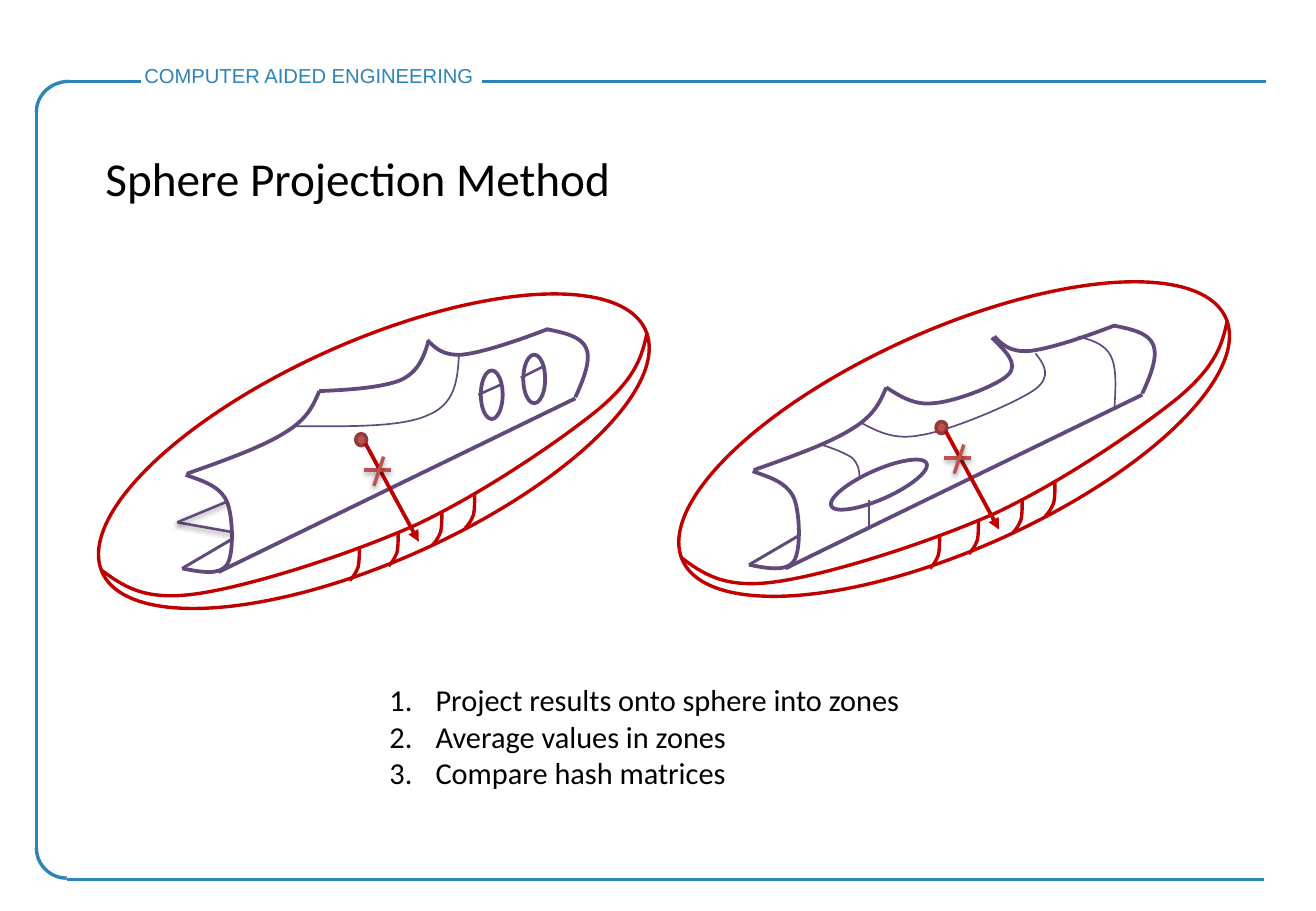
"""Build the sphere projection method slide with its two hull diagrams."""
from dataclasses import dataclass
from typing import Optional

from lxml import etree
from pptx import Presentation
from pptx import util as u
from pptx.dml import color
from pptx.enum import shapes, text
from pptx.oxml import ns

COLORS = {"frame": "2D84B9", "hull": "604A7B", "sphere": "C00000",
          "point": "C0504D", "point_edge": "8E3B39", "text": "000000"}
HULL_SHIFT = (4.67, -0.03)
SPHERE_SHIFT = (4.78, -0.1)
Point = tuple[float, float]


@dataclass(frozen=True)
class Line:
    start: Point
    end: Point
    color: str = "hull"
    width: float = 1.5
    shadow: bool = False
    arrow: bool = False


@dataclass(frozen=True)
class Curve:
    points: tuple[Point, ...]
    color: str = "hull"
    width: float = 2.25
    straight: bool = False


@dataclass(frozen=True)
class Oval:
    left: float
    top: float
    width: float
    height: float
    rotation: float = 0
    color: str = "hull"
    line_width: float = 2.25
    fill: Optional[str] = None
    arc: Optional[tuple[float, float]] = None


FRAME = [
    Line((0.3, 0.91), (0.3, 6.99), "frame", 2),
    Line((0.55, 7.24), (10.41, 7.24), "frame", 2),
    Line((1.16, 0.67), (0.57, 0.67), "frame", 2),
    Oval(0.3, 0.67, 0.54, 0.5, 0, "frame", 2, arc=(180, 270)),
    Oval(0.3, 6.73, 0.5, 0.5, 0, "frame", 2, arc=(90, 180)),
    Line((3.97, 0.67), (10.43, 0.67), "frame", 2),
]
HULL = [
    Curve(((1.53, 3.91), (1.67, 3.96), (1.81, 4), (1.87, 4.13),
           (1.92, 4.25), (1.93, 4.56), (1.87, 4.65),
           (1.81, 4.74), (1.65, 4.71), (1.5, 4.68))),
    Line((1.5, 4.68), (1.91, 4.44), width=1.75),
    Curve(((1.8, 4.71), (2.93, 4.16), (4.74, 3.28)), straight=True),
    Curve(((4.5, 2.71), (4.65, 2.74), (4.79, 2.77), (4.83, 2.87),
           (4.87, 2.96), (4.81, 3.12), (4.74, 3.27))),
    Curve(((1.54, 3.9), (1.85, 3.79), (2.16, 3.68), (2.35, 3.56),
           (2.53, 3.45), (2.58, 3.34), (2.63, 3.22))),
    Curve(((3.52, 2.8), (3.59, 2.87), (3.65, 2.93), (3.81, 2.92),
           (3.98, 2.9), (4.25, 2.81), (4.51, 2.71))),
]
LEFT_DETAILS = [
    Oval(3.85, 3.16, 0.4, 0.18, 90),
    Oval(4.2, 3.03, 0.4, 0.18, 90),
    Curve(((2.63, 3.22), (2.89, 3.21), (3.15, 3.19), (3.3, 3.13),
           (3.45, 3.06), (3.49, 2.94), (3.53, 2.81))),
    Curve(((2.43, 3.51), (2.86, 3.51), (3.3, 3.52), (3.52, 3.42),
           (3.75, 3.33), (3.77, 3.13), (3.78, 2.92)), width=1),
    Line((1.91, 4.38), (1.46, 4.3), shadow=True),
    Line((1.46, 4.3), (1.87, 4.13), shadow=True),
    Line((4.29, 3.11), (4.49, 3.01)),
    Line((3.94, 3.25), (4.14, 3.16)),
]
RIGHT_DETAILS = [
    Oval(6.81, 3.87, 0.86, 0.24, 336),
    Curve(((8.17, 2.78), (8.28, 2.89), (8.39, 2.99), (8.31, 3.08),
           (8.23, 3.17), (7.86, 3.31), (7.69, 3.32),
           (7.53, 3.34), (7.41, 3.26), (7.3, 3.19))),
    Curve(((7.09, 3.48), (7.23, 3.55), (7.36, 3.63), (7.6, 3.58),
           (7.84, 3.54), (8.36, 3.32), (8.52, 3.21),
           (8.67, 3.1), (8.6, 3), (8.53, 2.91)), width=1),
    Curve(((6.76, 3.66), (6.86, 3.69), (6.96, 3.73), (7.02, 3.77),
           (7.07, 3.82), (7.08, 3.87), (7.08, 3.93)), width=1),
    Line((7.16, 4.12), (7.16, 4.33), width=1),
    Curve(((8.88, 2.77), (8.99, 2.8), (9.1, 2.83), (9.15, 2.93),
           (9.2, 3.03), (9.19, 3.19), (9.18, 3.36)), width=1),
]
ZONE_EDGE = ((0, 0.28), (0.03, 0.25), (0.05, 0.22), (0.07, 0.17),
             (0.08, 0.13), (0.08, 0.06), (0.08, 0))
ZONES = [(2.88, 4.5), (3.2, 4.38), (3.56, 4.21), (3.83, 4.07)]
SPHERE = [
    Oval(0.63, 2.81, 4.9, 1.81, 336, "sphere", 2),
    Oval(2.93, 3.57, 0.09, 0.1, 0, "point_edge", 2, "point"),
    Line((3.01, 3.65), (3.45, 4.46), "sphere", 2.25, arrow=True),
    Line((3, 3.87), (3.22, 3.87), "point", 2, shadow=True),
    Line((3.08, 4), (3.16, 3.76), "point", 2, shadow=True),
    Curve(((0.83, 4.69), (1.01, 4.82), (1.18, 4.95), (1.61, 4.89),
           (2.05, 4.83), (2.87, 4.57), (3.43, 4.32),
           (3.98, 4.06), (4.61, 3.63), (4.93, 3.37),
           (5.25, 3.1), (5.29, 2.92), (5.33, 2.74)), "sphere", 2),
    *(Curve(tuple((left + x, top + y) for x, y in ZONE_EDGE), "sphere", 2)
      for left, top in ZONES),
]


def rgb(name: str) -> color.RGBColor:
    return color.RGBColor.from_string(COLORS[name])


def set_line(shape, name: str, width: float) -> None:
    shape.line.color.rgb = rgb(name)
    shape.line.width = u.Pt(width)


def draw_line(slide, line: Line, dx: float, dy: float) -> None:
    (x1, y1), (x2, y2) = line.start, line.end
    connector = slide.shapes.add_connector(
        shapes.MSO_CONNECTOR.STRAIGHT, u.Inches(x1 + dx), u.Inches(y1 + dy),
        u.Inches(x2 + dx), u.Inches(y2 + dy))
    set_line(connector, line.color, line.width)
    properties = connector.element.spPr
    if line.arrow:
        etree.SubElement(properties.find(ns.qn("a:ln")), ns.qn("a:tailEnd"), type="triangle")
    effects = etree.SubElement(properties, ns.qn("a:effectLst"))
    if line.shadow:
        shadow = etree.SubElement(effects, ns.qn("a:outerShdw"), blurRad="40000",
                                  dist="20000", dir="5400000", rotWithShape="0")
        black = etree.SubElement(shadow, ns.qn("a:srgbClr"), val=COLORS["text"])
        etree.SubElement(black, ns.qn("a:alpha"), val="38000")


def add_outline(slide, outline: list[Point], close: bool = False):
    points = [(u.Inches(x), u.Inches(y)) for x, y in outline]
    builder = slide.shapes.build_freeform(*points[0])
    builder.add_line_segments(points[1:], close=close)
    shape = builder.convert_to_shape()
    shape.shadow.inherit = False
    shape.fill.background()
    return shape


def draw_curve(slide, curve: Curve, dx: float, dy: float) -> None:
    shape = add_outline(slide, [(x + dx, y + dy) for x, y in curve.points])
    set_line(shape, curve.color, curve.width)
    if not curve.straight:
        segments = list(shape.element.iter(ns.qn("a:lnTo")))
        for first in range(0, len(segments), 3):
            bezier = etree.SubElement(segments[first].getparent(), ns.qn("a:cubicBezTo"))
            for segment in segments[first:first + 3]:
                bezier.append(segment[0])
                segment.getparent().remove(segment)


def draw_oval(slide, oval: Oval, dx: float, dy: float) -> None:
    kind = shapes.MSO_SHAPE.ARC if oval.arc else shapes.MSO_SHAPE.OVAL
    shape = slide.shapes.add_shape(kind, u.Inches(oval.left + dx), u.Inches(oval.top + dy),
                                   u.Inches(oval.width), u.Inches(oval.height))
    for index, degrees in enumerate(oval.arc or ()):
        shape.adjustments[index] = degrees * 0.6
    shape.rotation = oval.rotation
    shape.shadow.inherit = False
    shape.fill.background()
    if oval.fill:
        shape.fill.solid()
        shape.fill.fore_color.rgb = rgb(oval.fill)
    set_line(shape, oval.color, oval.line_width)


def draw(slide, parts: list, shift: Point = (0, 0)) -> None:
    painters = {Line: draw_line, Curve: draw_curve, Oval: draw_oval}
    for part in parts:
        painters[type(part)](slide, part, *shift)


def add_text(shape, lines: list[str], *, size: float, font: str = "Calibri",
             ink: str = "text", numbered: bool = False, wrap: bool = False) -> None:
    frame = shape.text_frame
    frame.word_wrap = wrap
    frame.auto_size = text.MSO_AUTO_SIZE.SHAPE_TO_FIT_TEXT
    frame.vertical_anchor = text.MSO_ANCHOR.TOP
    for index, line in enumerate(lines):
        paragraph = frame.add_paragraph() if index else frame.paragraphs[0]
        paragraph.text = line
        paragraph.alignment = text.PP_ALIGN.LEFT
        if numbered:
            properties = paragraph._p.get_or_add_pPr()
            properties.set("marL", str(u.Inches(0.38)))
            properties.set("indent", str(-u.Inches(0.38)))
            etree.SubElement(properties, ns.qn("a:buAutoNum"), type="arabicPeriod")
        paragraph.font.name = font
        paragraph.font.size = u.Pt(size)
        paragraph.font.color.rgb = rgb(ink)


def main() -> None:
    presentation = Presentation()
    presentation.slide_width, presentation.slide_height = u.Inches(10.84), u.Inches(7.5)
    slide = presentation.slides.add_slide(presentation.slide_layouts[6])
    draw(slide, FRAME)
    header = add_outline(slide, [(1.09, 0.47), (4.08, 0.47), (4.08, 0.77), (1.09, 0.77)], True)
    header.line.fill.background()
    add_text(header, ["COMPUTER AIDED ENGINEERING"], size=12, font="Arial", ink="frame")
    draw(slide, HULL, HULL_SHIFT)
    draw(slide, RIGHT_DETAILS)
    draw(slide, HULL + LEFT_DETAILS)
    title = slide.shapes.add_textbox(*map(u.Inches, (0.77, 1.18, 4.41, 0.57)))
    add_text(title, ["Sphere Projection Method"], size=28)
    draw(slide, SPHERE)
    draw(slide, SPHERE, SPHERE_SHIFT)
    steps = slide.shapes.add_textbox(*map(u.Inches, (3.11, 5.56, 4.44, 1.01)))
    add_text(steps, ["Project results onto sphere into zones", "Average values in zones",
                     "Compare hash matrices"], size=18, numbered=True, wrap=True)
    presentation.save("out.pptx")


if __name__ == "__main__":
    main()
